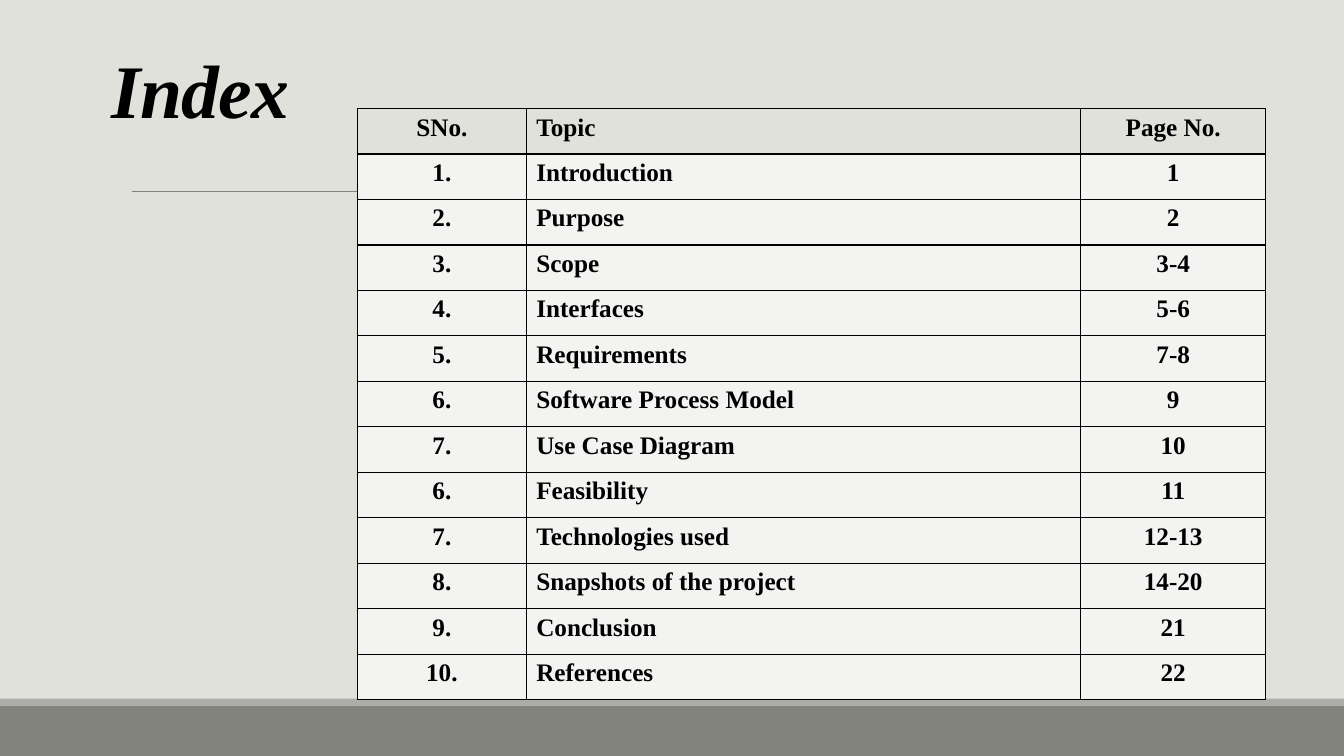
from lxml.etree import SubElement
from pptx import Presentation
from pptx.dml.color import RGBColor
from pptx.enum.shapes import MSO_CONNECTOR, MSO_SHAPE
from pptx.enum.text import MSO_ANCHOR, PP_ALIGN
from pptx.oxml.ns import qn
from pptx.util import Pt

WIDTH, HEIGHT = 960, 540
BLACK = "000000"
TITLE_FORMAT = {"name": "Times New Roman", "size": Pt(54), "bold": True, "italic": True}
CELL_FORMAT = {"name": "Times New Roman", "size": Pt(18), "bold": True}
COLUMN_WIDTHS = (120.5, 396, 132.3)
COLUMN_ALIGNMENTS = (PP_ALIGN.CENTER, PP_ALIGN.LEFT, PP_ALIGN.CENTER)
INDEX_ROWS = [
    ("SNo.", "Topic", "Page No."),
    ("1.", "Introduction", "1"),
    ("2.", "Purpose", "2"),
    ("3.", "Scope", "3-4"),
    ("4.", "Interfaces", "5-6"),
    ("5.", "Requirements", "7-8"),
    ("6.", "Software Process Model", "9"),
    ("7.", "Use Case Diagram", "10"),
    ("6.", "Feasibility", "11"),
    ("7.", "Technologies used", "12-13"),
    ("8.", "Snapshots of the project", "14-20"),
    ("9.", "Conclusion", "21"),
    ("10.", "References", "22"),
]


def color(hex_string):
    return RGBColor.from_string(hex_string)


def paint(fill, hex_string):
    fill.solid()
    fill.fore_color.rgb = color(hex_string)


def write(paragraph, text, formats):
    run = paragraph.add_run()
    run.text = text
    for name, value in formats.items():
        setattr(run.font, name, value)
    run.font.color.rgb = color(BLACK)
    return run


def add_footer(slide, left, top, width, height):
    # Thin light strip above the dark band
    strip = 5
    bands = ((top + strip, height - strip, "82847C"), (top, strip, "ACADA8"))
    for band_top, band_height, fill in bands:
        band = slide.shapes.add_shape(
            MSO_SHAPE.RECTANGLE, Pt(left), Pt(band_top), Pt(width), Pt(band_height))
        band.shadow.inherit = False
        paint(band.fill, fill)
        band.line.fill.background()


def add_rule(slide, left, top, width):
    rule = slide.shapes.add_connector(
        MSO_CONNECTOR.STRAIGHT, Pt(left), Pt(top), Pt(left + width), Pt(top))
    rule.line.color.rgb = color("808080")
    rule.line.width = Pt(0.5)
    SubElement(rule._element.spPr, qn("a:effectLst"))


def add_title(slide, text, left, top, width, height):
    box = slide.shapes.add_textbox(Pt(left), Pt(top), Pt(width), Pt(height))
    frame = box.text_frame
    frame.word_wrap = True
    frame.vertical_anchor = MSO_ANCHOR.BOTTOM
    paragraph = frame.paragraphs[0]
    paragraph.line_spacing = 0.85
    run = write(paragraph, text, TITLE_FORMAT)
    run.font._element.set("spc", "-50")


def add_borders(cell):
    properties = cell._tc.get_or_add_tcPr()
    for side in ("lnL", "lnR", "lnT", "lnB"):
        line = SubElement(properties, qn(f"a:{side}"), w=str(Pt(1)))
        SubElement(SubElement(line, qn("a:solidFill")), qn("a:srgbClr"), val=BLACK)


def add_index_table(slide, left, top, width, height):
    table = slide.shapes.add_table(
        len(INDEX_ROWS), len(COLUMN_WIDTHS), Pt(left), Pt(top), Pt(width), Pt(height)).table
    for column, column_width in zip(table.columns, COLUMN_WIDTHS):
        column.width = Pt(column_width)
    for row in table.rows:
        row.height = Pt(height / len(INDEX_ROWS))
    for row_number, texts in enumerate(INDEX_ROWS):
        for column_number, text in enumerate(texts):
            cell = table.cell(row_number, column_number)
            add_borders(cell)
            paint(cell.fill, "F3F3F1" if row_number else "E1E1DB")
            paragraph = cell.text_frame.paragraphs[0]
            paragraph.alignment = COLUMN_ALIGNMENTS[column_number]
            write(paragraph, text, CELL_FORMAT)


def add_index_slide(presentation):
    slide = presentation.slides.add_slide(presentation.slide_layouts[6])
    paint(slide.background.fill, "E1E1DB")
    add_footer(slide, 0, 499, WIDTH, HEIGHT - 499)
    add_rule(slide, 94.3, 136.6, 784.8)
    add_title(slide, "Index", 72.7, 24.5, 779.8, 74.9)
    add_index_table(slide, 255.4, 77.5, sum(COLUMN_WIDTHS), 422.5)


def main():
    presentation = Presentation()
    presentation.slide_width = Pt(WIDTH)
    presentation.slide_height = Pt(HEIGHT)
    add_index_slide(presentation)
    presentation.save("out.pptx")


if __name__ == "__main__":
    main()
